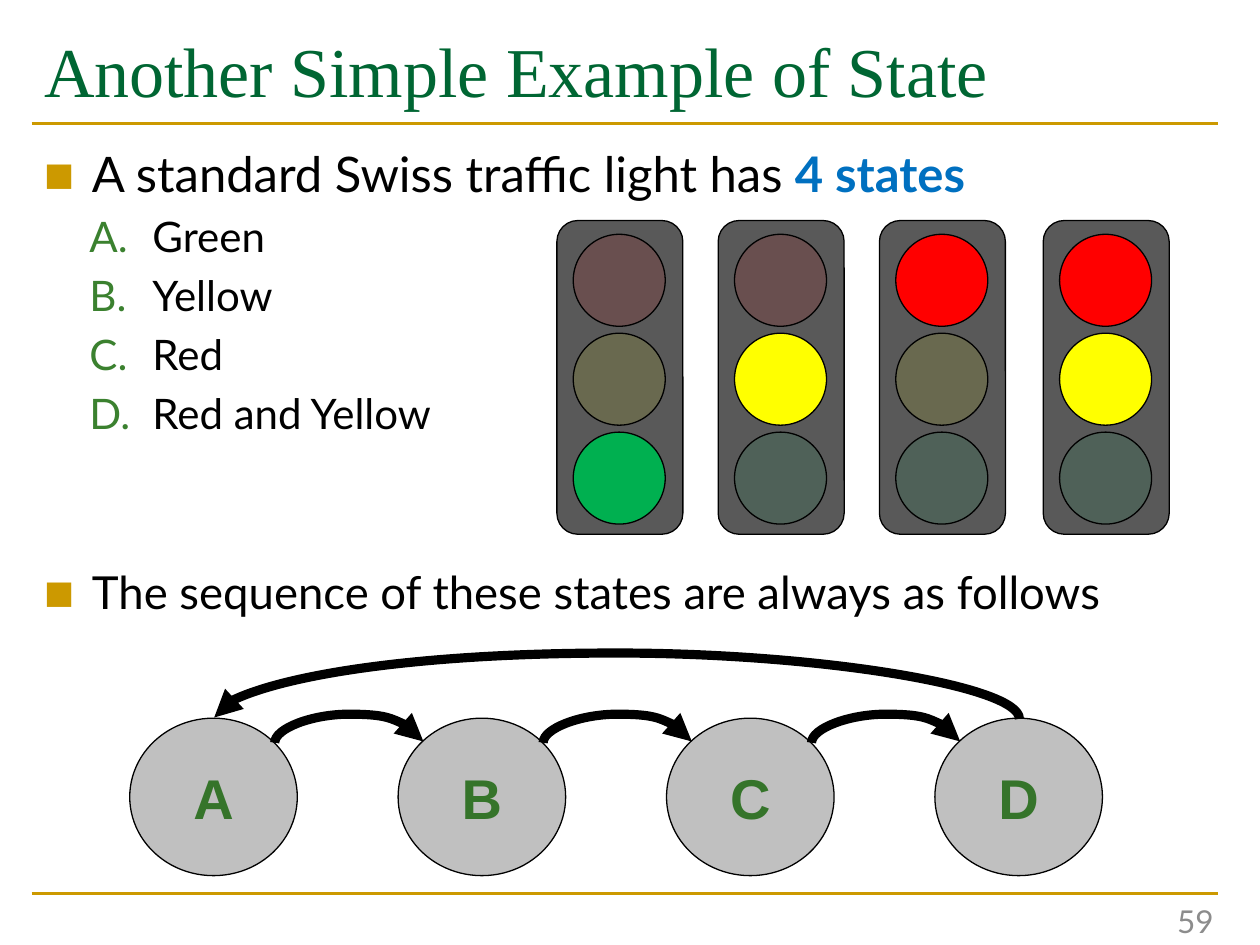
from lxml.etree import SubElement
from pptx import Presentation
from pptx.dml.color import RGBColor
from pptx.enum.shapes import MSO_CONNECTOR as LINK, MSO_SHAPE as SHAPE
from pptx.enum.text import MSO_ANCHOR as ANCHOR, MSO_AUTO_SIZE as AUTOSIZE, PP_ALIGN as ALIGN
from pptx.oxml.ns import qn
from pptx.util import Inches, Pt

BLACK = RGBColor(0, 0, 0)
GOLD = RGBColor(0xCC, 0x99, 0x00)
TITLE_GREEN = RGBColor(0x00, 0x66, 0x33)
LETTER_GREEN = RGBColor(0x3B, 0x81, 0x2F)
NODE_GREEN = RGBColor(0x35, 0x74, 0x2A)
BLUE = RGBColor(0x00, 0x70, 0xC0)
NUMBER_GRAY = RGBColor(0x8C, 0x8C, 0x8C)
HOUSING_GRAY = RGBColor(0x59, 0x59, 0x59)
NODE_GRAY = RGBColor(0xC0, 0xC0, 0xC0)
LAMPS = {
    "red": RGBColor(0xFF, 0x00, 0x00),
    "yellow": RGBColor(0xFF, 0xFF, 0x00),
    "green": RGBColor(0x00, 0xB0, 0x50),
}

HEADING = "Another Simple Example of State"
PAGE = "59"
SQUARE_BULLET = ("buChar", {"char": "■"})
LETTER_BULLET = ("buAutoNum", {"type": "alphaUcPeriod"})
POINT = {"level": 0, "margin": 0.38, "hang": 0.38, "bullet": SQUARE_BULLET, "bullet_color": GOLD}
STATE = {"level": 1, "margin": 0.86, "hang": 0.5, "bullet": LETTER_BULLET,
         "bullet_color": LETTER_GREEN, "bullet_size": 100, "size": 24, "before": 4.8}
OUTLINE = [
    ([("A standard Swiss traffic light has ", {}),
      ("4 states", {"bold": True, "color": BLUE})],
     {**POINT, "bullet_size": 65, "size": 28, "before": 0}),
    *[([(state, {})], STATE) for state in ("Green", "Yellow", "Red", "Red and Yellow")],
    ([("The sequence of these states are always as follows", {})],
     {**POINT, "bullet_size": 70, "size": 26, "before": 72}),
]
LIGHTS = [(4.42, {"green"}), (5.7, {"yellow"}), (6.98, {"red"}), (8.28, {"red", "yellow"})]
NODES = "ABCD"
NODE_LEFT, NODE_TOP, NODE_STEP = 1.03, 5.7, 2.13
RULES = (0.98, 7.09)
FORWARD = {"rot": "5400000", "flipH": "1", "flipV": "1"}
BACK = {"rot": "16200000", "flipV": "1"}
CURVE_DEPTH = 0.01


def set_font(font, name, size, color, bold=False):
    for key, value in {"name": name, "size": Pt(size), "bold": bold}.items():
        setattr(font, key, value)
    font.color.rgb = color


def add_bullet(paragraph, style):
    props = paragraph._p.get_or_add_pPr()
    props.set("marL", str(Inches(style["margin"])))
    props.set("indent", str(-Inches(style["hang"])))
    color = SubElement(props, qn("a:buClr"))
    SubElement(color, qn("a:srgbClr"), val=str(style["bullet_color"]))
    SubElement(props, qn("a:buSzPct"), val=str(style["bullet_size"] * 1000))
    SubElement(props, qn("a:buFont"), typeface="Lato")
    tag, values = style["bullet"]
    SubElement(props, qn("a:" + tag), **values)


def add_outlined(slide, kind, box, color, alpha=100):
    shape = slide.shapes.add_shape(kind, *map(Inches, box))
    shape.shadow.inherit = False
    shape.fill.solid()
    shape.fill.fore_color.rgb = color
    if alpha < 100:
        tint = shape._element.spPr.find(qn("a:solidFill"))[0]
        SubElement(tint, qn("a:alpha"), val=str(alpha * 1000))
    shape.line.color.rgb = BLACK
    shape.line.width = Pt(0.75)
    return shape


def add_link(slide, kind, ends, color, width):
    link = slide.shapes.add_connector(kind, *map(Inches, ends))
    link.line.color.rgb = color
    link.line.width = Pt(width)
    SubElement(link._element.spPr, qn("a:effectLst"))
    return link


def add_curve(slide, start, end, middle, rise, turn):
    center, span = (start + end) / 2, abs(end - start)
    left, top = center - CURVE_DEPTH / 2, middle - span / 2
    curve = add_link(slide, LINK.CURVE, (left, top, left + CURVE_DEPTH, top + span), BLACK, 5.25)
    props = curve._element.spPr
    for key, value in turn.items():
        props.find(qn("a:xfrm")).set(key, value)
    guides = props.find(qn("a:prstGeom")).get_or_add_avLst()
    bend = round(rise / CURVE_DEPTH * 100000)
    SubElement(guides, qn("a:gd"), name="adj1", fmla=f"val {bend}")
    SubElement(props.find(qn("a:ln")), qn("a:tailEnd"), type="triangle")


def add_text(slide):
    title, body = slide.shapes.title, slide.placeholders[1]
    for holder, box in ((title, (0.25, 0.17, 9.42, 1.17)), (body, (0.25, 1.09, 9.42, 5.68))):
        holder.left, holder.top, holder.width, holder.height = map(Inches, box)
        holder.text_frame.auto_size = AUTOSIZE.NONE
        holder.text_frame.vertical_anchor = ANCHOR.TOP
    title.text_frame.text = HEADING
    heading = title.text_frame.paragraphs[0]
    heading.alignment = ALIGN.LEFT
    set_font(heading.runs[0].font, "Times New Roman", 40, TITLE_GREEN)

    for index, (parts, style) in enumerate(OUTLINE):
        frame = body.text_frame
        item = frame.add_paragraph() if index else frame.paragraphs[0]
        item.level = style["level"]
        add_bullet(item, style)
        item.space_before = Pt(style["before"])
        for words, accent in parts:
            run = item.add_run()
            run.text = words
            set_font(run.font, "Lato", style["size"], **{"color": BLACK, **accent})

    number = slide.shapes.add_textbox(*map(Inches, (7.48, 7.11, 2.25, 0.4))).text_frame
    number.word_wrap = True
    number.vertical_anchor = ANCHOR.MIDDLE
    number.text = PAGE
    number.paragraphs[0].alignment = ALIGN.RIGHT
    set_font(number.paragraphs[0].runs[0].font, "Lato", 18, NUMBER_GRAY)


def add_lights(slide):
    for left, lit in LIGHTS:
        add_outlined(slide, SHAPE.ROUNDED_RECTANGLE, (left, 1.75, 1, 2.49), HOUSING_GRAY)
        for row, (lamp, color) in enumerate(LAMPS.items()):
            box = (left + 0.13, 1.86 + row * 0.785, 0.73, 0.73)
            add_outlined(slide, SHAPE.OVAL, box, color, 100 if lamp in lit else 10)


def add_sequence(slide):
    lefts = [NODE_LEFT + index * NODE_STEP for index in range(len(NODES))]
    for left, letter in zip(lefts, NODES):
        node = add_outlined(slide, SHAPE.OVAL, (left, NODE_TOP, 1.33, 1.25), NODE_GRAY)
        node.text_frame.text = letter
        node.text_frame.vertical_anchor = ANCHOR.MIDDLE
        label = node.text_frame.paragraphs[0]
        label.alignment = ALIGN.CENTER
        set_font(label.runs[0].font, "Arial", 32, NODE_GREEN, bold=True)
    for left, following in zip(lefts, lefts[1:]):
        add_curve(slide, left + 1.15, following + 0.2, 5.89, 0.23, FORWARD)
    add_curve(slide, lefts[-1] + 0.67, lefts[0] + 0.67, NODE_TOP, 0.53, BACK)


def main():
    deck = Presentation()
    deck.slide_width, deck.slide_height = Inches(10), Inches(7.5)
    slide = deck.slides.add_slide(deck.slide_layouts[1])
    for height in RULES:
        add_link(slide, LINK.STRAIGHT, (0.25, height, 9.67, height), GOLD, 1.5)
    add_text(slide)
    add_lights(slide)
    add_sequence(slide)
    deck.save("out.pptx")


if __name__ == "__main__":
    main()
